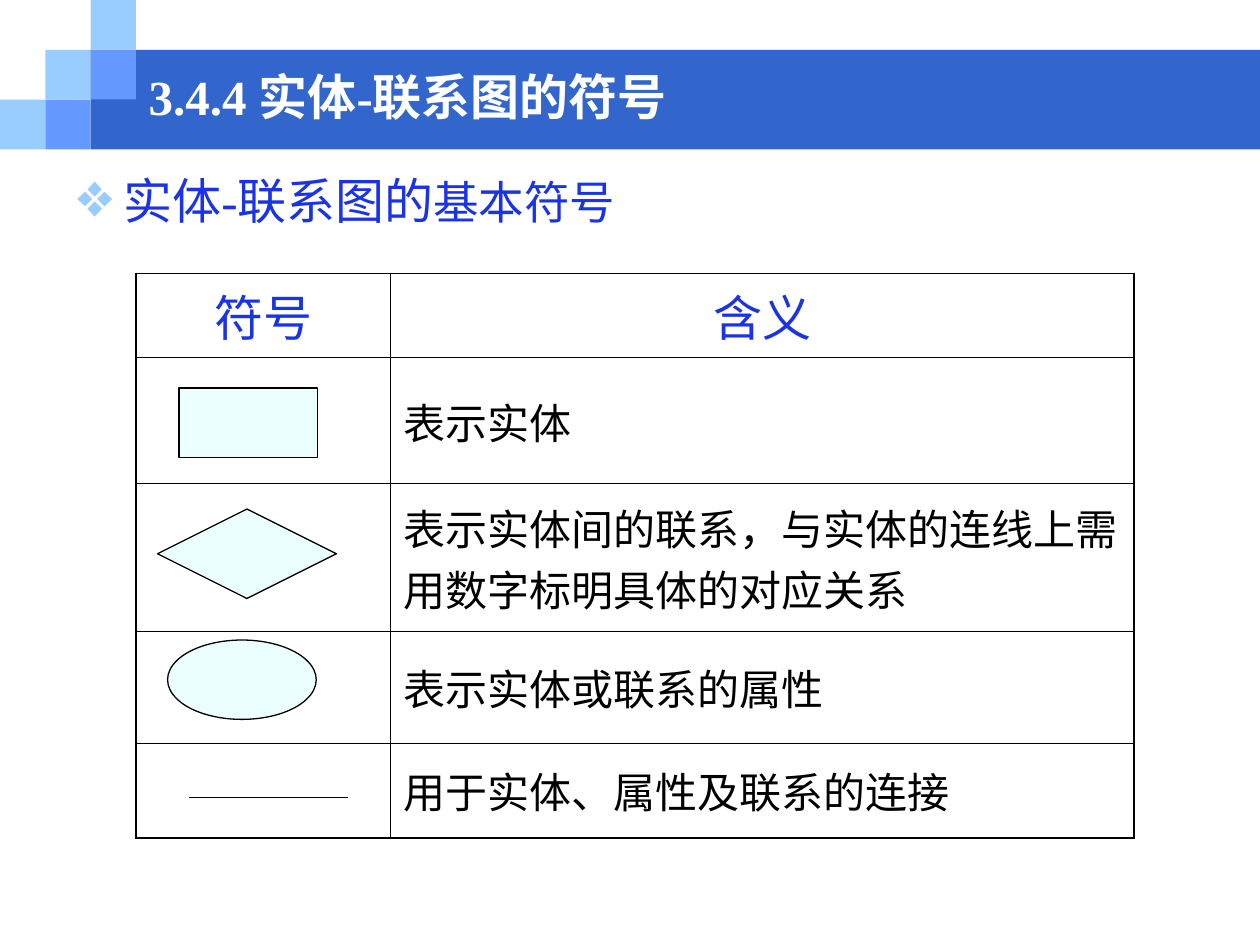
"""Build a slide with a table of the basic entity-relationship diagram symbols."""
from lxml.etree import SubElement
from pptx import Presentation
from pptx.dml.color import RGBColor
from pptx.enum.shapes import MSO_CONNECTOR, MSO_SHAPE
from pptx.enum.text import MSO_ANCHOR, MSO_AUTO_SIZE, PP_ALIGN
from pptx.oxml.ns import qn
from pptx.util import Inches, Pt


def style(r, size, color, bold=False):
    r.font.name, r.font.size, r.font.bold = "Times New Roman", Pt(size), bold
    r.font.color.rgb = RGBColor.from_string(color)


def draw(kind, x, y, w, h, fill, line=None):
    sp = s.shapes.add_shape(kind, Inches(x), Inches(y), Inches(w), Inches(h))
    sp.shadow.inherit = False
    sp.fill.solid()
    sp.fill.fore_color.rgb = RGBColor.from_string(fill)
    if line:
        sp.line.color.rgb = RGBColor.from_string(line)
        sp.line.width = Pt(0.75)
    else:
        sp.line.fill.background()


prs = Presentation()
prs.slide_width, prs.slide_height = Inches(10), Inches(7.5)
s = prs.slides.add_slide(prs.slide_layouts[1])

COL, ROW = 0.36, 0.395
draw(MSO_SHAPE.RECTANGLE, 2 * COL, ROW, 10 - 2 * COL, 2 * ROW, "3366CC")
for col, row, color in [(0, 2, "99CCFF"), (1, 1, "99CCFF"), (2, 0, "99CCFF"),
                        (2, 1, "6699FF"), (1, 2, "6699FF")]:
    draw(MSO_SHAPE.RECTANGLE, col * COL, row * ROW, COL, ROW, color)

title, body = s.shapes.title, s.placeholders[1]
for sp, box in [(title, (3 * COL, 0.5, 8.08, 0.53)), (body, (0.5, 1.26, 5, 0.66))]:
    sp.left, sp.top, sp.width, sp.height = map(Inches, box)
    sp.text_frame.auto_size = MSO_AUTO_SIZE.NONE
    s.shapes.element.append(sp.element)

title.text_frame.text = "3.4.4 实体-联系图的符号"
title.text_frame.vertical_anchor = MSO_ANCHOR.MIDDLE
p = title.text_frame.paragraphs[0]
p.alignment = PP_ALIGN.LEFT
style(p.runs[0], 28, "FFFFFF", True)

p = body.text_frame.paragraphs[0]
p.line_spacing, p.space_before = 1.1, Pt(6.5)
for text, size in [("实体-联系图的", 28), ("基本符号", 26)]:
    r = p.add_run()
    r.text = text
    style(r, size, "1B33E7")
pPr = p._p.get_or_add_pPr()
pPr.set("marL", str(Inches(0.38)))
pPr.set("indent", str(-Inches(0.38)))
SubElement(SubElement(pPr, qn("a:buClr")), qn("a:srgbClr"), val="99CCFF")
SubElement(pPr, qn("a:buFont"), typeface="Times New Roman")
SubElement(pPr, qn("a:buChar"), char="❖")

rows = [("符号", "含义", 0.67), ("", "表示实体", 1),
        ("", "表示实体间的联系，与实体的连线上需用数字标明具体的对应关系", 1.17),
        ("", "表示实体或联系的属性", 0.89), ("", "用于实体、属性及联系的连接", 0.75)]
table = s.shapes.add_table(len(rows), 2, Inches(3 * COL), Inches(2.17),
                           Inches(7.92), Inches(4.48)).table
table.first_row = table.horz_banding = False
table.columns[0].width, table.columns[1].width = Inches(2.02), Inches(5.9)
for i, (symbol, meaning, height) in enumerate(rows):
    table.rows[i].height = Inches(height)
    for j, text in enumerate((symbol, meaning)):
        cell = table.cell(i, j)
        outer = {"L": j == 0, "R": j == 1, "T": i == 0, "B": i == len(rows) - 1}
        for side, thick in outer.items():
            ln = SubElement(cell._tc.get_or_add_tcPr(), qn(f"a:ln{side}"),
                            w=str(Pt(1.08 if thick else 0.45)))
            SubElement(SubElement(ln, qn("a:solidFill")), qn("a:srgbClr"), val="000000")
        cell.fill.background()
        if text:
            cell.text_frame.text = text
            cell.vertical_anchor = MSO_ANCHOR.MIDDLE if i else MSO_ANCHOR.TOP
            p = cell.text_frame.paragraphs[0]
            p.alignment = PP_ALIGN.LEFT if i else PP_ALIGN.CENTER
            p.space_before = Pt(6 if i else 7)
            style(p.runs[0], 24 if i else 28, "000000" if i else "1B33E7")

for kind, x, y, w, h in [(MSO_SHAPE.RECTANGLE, 1.42, 3.08, 1.1, 0.55),
                         (MSO_SHAPE.DIAMOND, 1.25, 4.04, 1.42, 0.71),
                         (MSO_SHAPE.OVAL, 1.33, 5.08, 1.18, 0.63)]:
    draw(kind, x, y, w, h, "EBFFFF", "000000")

line = s.shapes.add_connector(MSO_CONNECTOR.STRAIGHT, Inches(1.5), Inches(6.33),
                              Inches(2.76), Inches(6.33))
line.line.color.rgb = RGBColor.from_string("000000")
line.line.width = Pt(0.75)
SubElement(line._element.spPr, qn("a:effectLst"))

prs.save("out.pptx")
